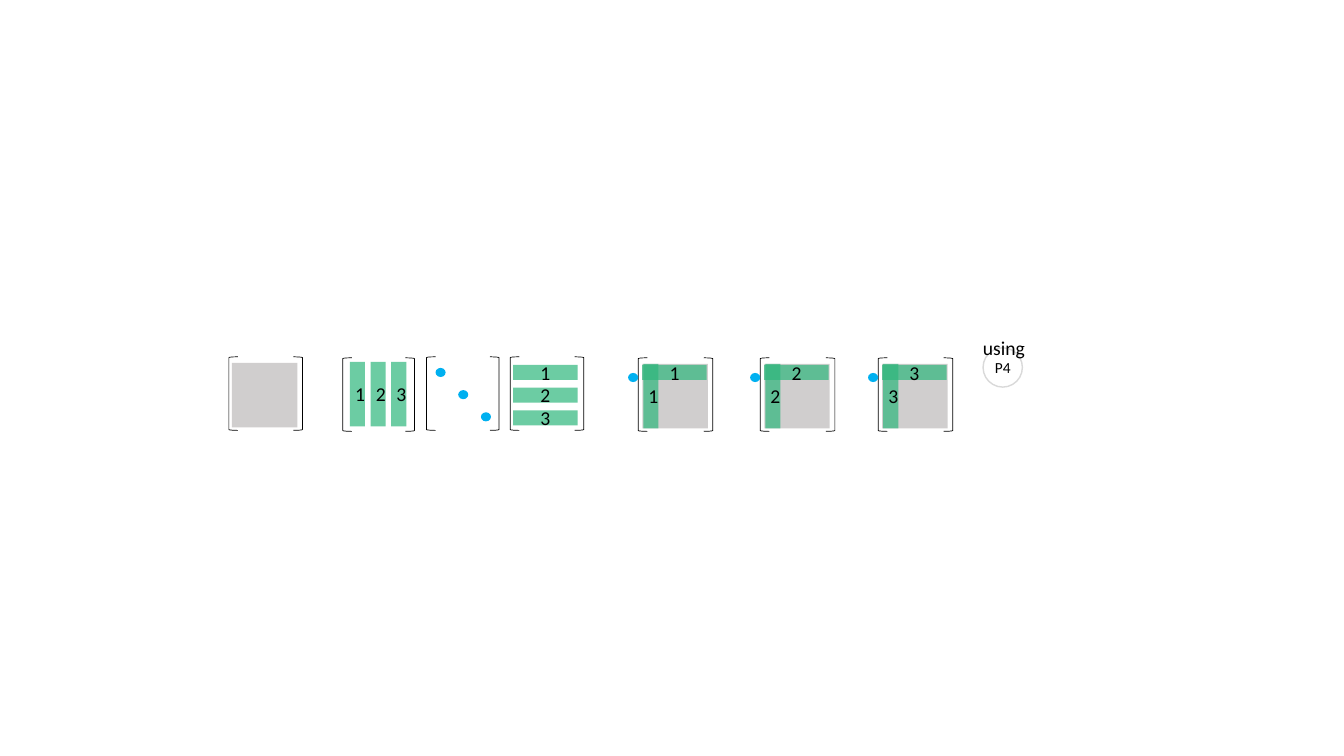
import pptx
import pptx.dml.color
import pptx.enum.shapes
import pptx.enum.text
import pptx.util
from lxml import etree
from pptx.oxml.ns import qn

Inches = pptx.util.Inches
RGBColor = pptx.dml.color.RGBColor
SHAPE = pptx.enum.shapes.MSO_SHAPE

BLACK = RGBColor(0x00, 0x00, 0x00)
GREEN = RGBColor(0x2E, 0xB7, 0x7C)
BLUE = RGBColor(0x00, 0xB0, 0xF0)
GREY = RGBColor(0xD0, 0xCE, 0xCE)
LIGHT_GREY = RGBColor(0xD9, 0xD9, 0xD9)

SIDE = 0.73  # height of every matrix
BAR_LONG, BAR_SHORT = 0.64, 0.15


def add_part(page, kind, left, top, width, height, fill=None, line=None, line_width=0.5):
    part = page.shapes.add_shape(
        kind, Inches(left), Inches(top), Inches(width), Inches(height))
    part.shadow.inherit = False
    if fill is None:
        part.fill.background()
    else:
        part.fill.solid()
        part.fill.fore_color.rgb = fill
    if line is None:
        part.line.fill.background()
    else:
        part.line.color.rgb = line
        part.line.width = pptx.util.Pt(line_width)
    return part


def write(box, text, size):
    para = box.text_frame.paragraphs[0]
    para.text = text
    para.font.size = pptx.util.Pt(size)
    para.font.name = "Calibri"
    para.font.color.rgb = BLACK
    return para


def write_centred(part, text, size):
    part.text_frame.vertical_anchor = pptx.enum.text.MSO_ANCHOR.MIDDLE
    write(part, text, size).alignment = pptx.enum.text.PP_ALIGN.CENTER


def add_bar(page, left, top, width, height, number):
    bar = add_part(page, SHAPE.RECTANGLE, left, top, width, height, GREEN)
    colour = bar.fill._xPr.find(qn("a:solidFill"))[0]
    etree.SubElement(colour, qn("a:alpha")).set("val", "70000")
    write_centred(bar, str(number), 14)


def add_column(page, left, top, number):
    add_bar(page, left, top, BAR_SHORT, BAR_LONG, number)


def add_row(page, left, top, number):
    add_bar(page, left, top, BAR_LONG, BAR_SHORT, number)


def add_dot(page, left, top):
    add_part(page, SHAPE.OVAL, left, top, 0.1, 0.09, BLUE)


def add_square(page, left, top):
    add_part(page, SHAPE.RECTANGLE, left, top, 0.65, 0.64, GREY)


def add_brackets(page, left, top, width):
    thickness = 0.09
    add_part(page, SHAPE.LEFT_BRACKET, left, top, thickness, SIDE, line=BLACK)
    add_part(page, SHAPE.RIGHT_BRACKET, left + width - thickness, top,
             thickness, SIDE, line=BLACK)


def full_matrix(page, left, top, width):
    add_square(page, left + 0.03, top + 0.06)
    add_brackets(page, left, top, width)


def column_matrix(page, left, top, width):
    add_brackets(page, left, top, width)
    for index in range(3):
        add_column(page, left + 0.07 + 0.205 * index, top + 0.04, index + 1)


def diagonal_matrix(page, left, top, width):
    add_brackets(page, left, top, width)
    for index in range(3):
        add_dot(page, left + 0.09 + 0.225 * index, top + 0.11 + 0.22 * index)


def row_matrix(page, left, top, width):
    add_brackets(page, left, top, width)
    for index in range(3):
        add_row(page, left + 0.03, top + 0.08 + 0.225 * index, index + 1)


def rank_one_term(page, left, top, width, number):
    add_square(page, left + 0.04, top + 0.06)
    add_brackets(page, left, top, width)
    add_dot(page, left - 0.1, top + 0.15)
    add_column(page, left + 0.05, top + 0.06, number)
    add_row(page, left + 0.04, top + 0.07, number)


def pattern_label(page, left, top):
    badge = add_part(page, SHAPE.OVAL, left + 0.1, top + 0.17, 0.39, 0.39,
                     line=LIGHT_GREY, line_width=1)
    frame = badge.text_frame
    frame.margin_left = frame.margin_right = frame.margin_top = frame.margin_bottom = 0
    write_centred(badge, "P4", 11)
    caption = page.shapes.add_textbox(
        Inches(left), Inches(top), Inches(0.62), Inches(0.34))
    caption.text_frame.word_wrap = False
    caption.text_frame.auto_size = pptx.enum.text.MSO_AUTO_SIZE.SHAPE_TO_FIT_TEXT
    write(caption, "using", 14)


def main():
    deck = pptx.Presentation()
    deck.slide_width = Inches(13.33)
    deck.slide_height = Inches(7.5)
    page = deck.slides.add_slide(deck.slide_layouts[6])

    # Matrix and its three factors
    full_matrix(page, 2.27, 3.54, 0.73)
    column_matrix(page, 3.4, 3.55, 0.71)
    diagonal_matrix(page, 4.23, 3.54, 0.72)
    row_matrix(page, 5.06, 3.54, 0.73)

    # Sum of rank-one terms
    for number, left in enumerate((6.33, 7.54, 8.71), start=1):
        rank_one_term(page, left, 3.55, 0.74, number)

    # Pattern in use
    pattern_label(page, 9.65, 3.28)

    deck.save("out.pptx")


if __name__ == "__main__":
    main()
